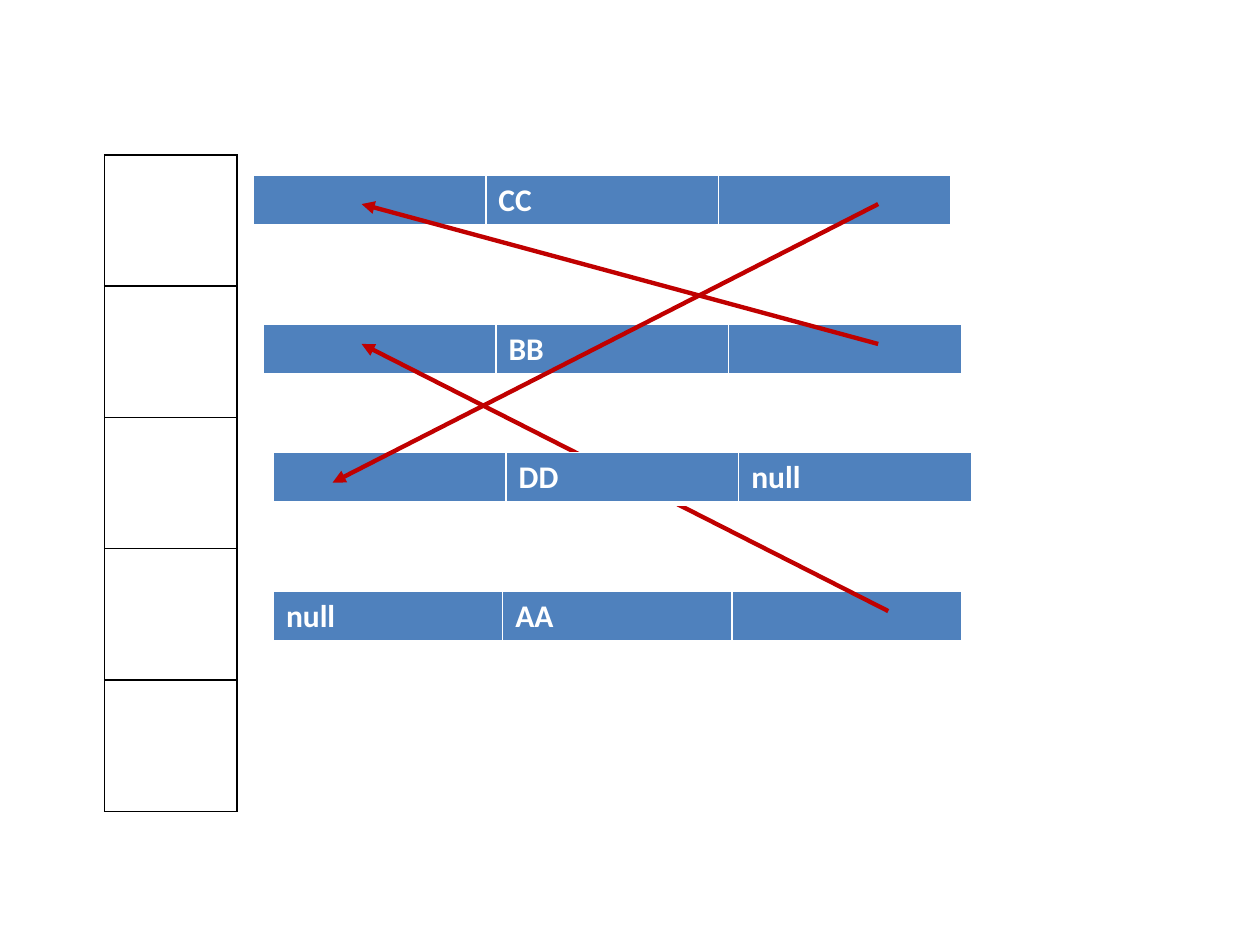
from pptx import Presentation
from pptx.dml.color import RGBColor
from pptx.enum.shapes import MSO_CONNECTOR
from pptx.oxml.ns import qn
from pptx.util import Inches, Pt
from lxml import etree

STRAIGHT = MSO_CONNECTOR.STRAIGHT
BLUE, RED, WHITE, BLACK = "4F81BD", "C00000", "FFFFFF", "000000"

BUCKETS = [[""] for _ in range(5)]
GRID_EDGES = {"lnL": 1, "lnR": 1, "lnT": 1, "lnB": 1}
NODE_EDGES = {"lnL": 1, "lnR": 1, "lnT": 1, "lnB": 3}

# Back to front: node cells, left, top, width, then the link from its "next" cell
NODES = [
    (["null", "AA", ""], 2.17, 4.69, 5.46, None),
    (["", "BB", ""], 2.09, 2.57, 5.54, ((7.05, 4.85), (2.87, 2.73))),
    (["", "CC", ""], 2.01, 1.39, 5.54, ((6.97, 2.73), (2.87, 1.62))),
    (["", "DD", "null"], 2.17, 3.59, 5.54, ((6.97, 1.62), (2.64, 3.83))),
]
NODE_HIGH = 0.4


def color(code):
    return RGBColor.from_string(code)


def write(cell, text, size=18, ink=WHITE, bold=True):
    para = cell.text_frame.paragraphs[0]
    run = para.add_run()
    run.text = text
    font = run.font
    font.name, font.size, font.bold = "Calibri", Pt(size), bold
    font.color.rgb = color(ink)


def edge(cell, widths, code):
    """Draw the cell's borders; call before filling, as the schema orders them."""
    props = cell._tc.get_or_add_tcPr()
    for side, width in widths.items():
        line = etree.SubElement(props, qn(f"a:{side}"), w=str(Pt(width)))
        fill = etree.SubElement(line, qn("a:solidFill"))
        etree.SubElement(fill, qn("a:srgbClr"), val=code)


def add_grid(slide, rows, left, top, width, height, edges, ink, fill=None):
    frame = slide.shapes.add_table(
        len(rows), len(rows[0]),
        Inches(left), Inches(top), Inches(width), Inches(height))
    table = frame.table
    table.first_row = table.horz_banding = False
    for r, row in enumerate(rows):
        for c, text in enumerate(row):
            cell = table.cell(r, c)
            edge(cell, edges, ink)
            if fill:
                cell.fill.solid()
                cell.fill.fore_color.rgb = color(fill)
            else:
                cell.fill.background()
            if text:
                write(cell, text)


def add_link(slide, start, end):
    link = slide.shapes.add_connector(
        STRAIGHT, *(Inches(v) for v in start + end))
    link.line.color.rgb = color(RED)
    link.line.width = Pt(2.5)
    etree.SubElement(link.line._get_or_add_ln(), qn("a:tailEnd"), type="triangle")
    etree.SubElement(link._element.spPr, qn("a:effectLst"))


def main():
    deck = Presentation()
    deck.slide_width, deck.slide_height = Inches(10), Inches(7.5)
    slide = deck.slides.add_slide(deck.slide_layouts[6])
    add_grid(slide, BUCKETS, 0.83, 1.23, 1.05, 5.21, GRID_EDGES, BLACK)
    for cells, left, top, width, link in NODES:
        add_grid(slide, [cells], left, top, width, NODE_HIGH,
                 NODE_EDGES, WHITE, BLUE)
        if link:
            add_link(slide, *link)
    deck.save("out.pptx")


if __name__ == "__main__":
    main()
